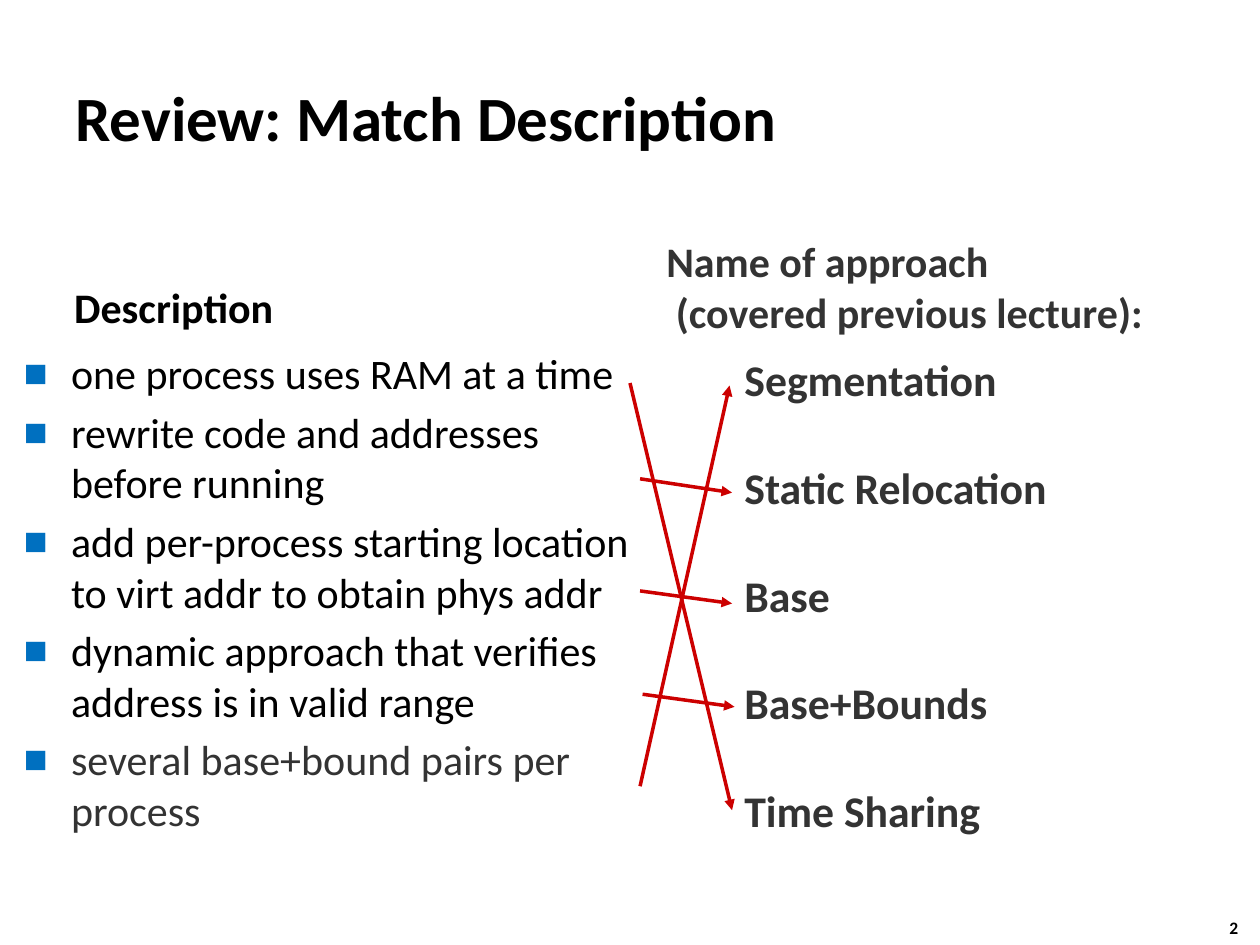
from dataclasses import dataclass

from pptx import Presentation
from pptx import util as u
from pptx.dml.color import RGBColor
from pptx.enum import shapes, text
from pptx.oxml import parse_xml
from pptx.oxml.ns import nsdecls

# The slide is a grid of 100 columns by 75 rows of equal size
COLUMNS, ROWS = 100, 75
WIDTH, HEIGHT = u.Inches(10), u.Inches(7.5)


@dataclass(frozen=True)
class Theme:
    font: str = "Calibri"
    ink: str = "000000"
    soft: str = "333333"
    bullet: str = "0070C0"
    arrow: str = "CC0000"
    title: float = 36
    name: float = 25
    body: float = 24
    number: float = 10
    name_gap: float = 31.6
    body_gap: float = 4.8
    arrow_width: float = 2


THEME = Theme()

DESCRIPTIONS = [
    "one process uses RAM at a time",
    "rewrite code and addresses before running",
    "add per-process starting location to virt addr to obtain phys addr",
    "dynamic approach that verifies address is in valid range",
    "several base+bound pairs per process",
]
NAMES = ["Segmentation", "Static Relocation", "Base", "Base+Bounds", "Time Sharing"]

# Start and end of each match, in columns and rows from the corner of its box
MATCHES = [
    ((0, 0.4), (8.1, 34.3)),
    ((0.8, 8), (8.1, 9.1)),
    ((0.8, 16.9), (8.1, 17.9)),
    ((1, 25.1), (8.3, 26.1)),
    ((0.8, 32.4), (7.9, 0.6)),
]


def across(columns):
    return round(WIDTH * columns / COLUMNS)


def down(rows):
    return round(HEIGHT * rows / ROWS)


def add_text(page, box, lines, size, color=THEME.ink, bold=True, gap=0,
             anchor=text.MSO_ANCHOR.TOP, wrap=True):
    """Place a text box, one paragraph a line, and return its paragraphs."""
    left, top, width, height = box
    frame = page.shapes.add_textbox(
        across(left), down(top), across(width), down(height)).text_frame
    frame.word_wrap = wrap
    frame.vertical_anchor = anchor
    frame.text = "\n".join(lines)
    for para in frame.paragraphs:
        para.space_before = u.Pt(gap)
        for span in para.runs:
            span.font.name = THEME.font
            span.font.size = u.Pt(size)
            span.font.bold = bold
            span.font.color.rgb = RGBColor.from_string(color)
    return frame.paragraphs


def add_heading(page, box, heading, color):
    """Place a column heading on the bottom edge of its box."""
    para, = add_text(page, box, [""], THEME.body, anchor=text.MSO_ANCHOR.BOTTOM)
    para.text = heading
    for span in para.runs:
        span.font.name = THEME.font
        span.font.size = u.Pt(THEME.body)
        span.font.bold = True
        span.font.color.rgb = RGBColor.from_string(color)


def add_descriptions(page, box):
    """Place the bulleted descriptions, the last one in the softer colour."""
    paras = add_text(page, box, DESCRIPTIONS, THEME.body, bold=False,
                     gap=THEME.body_gap)
    for para in paras:
        props = para._p.get_or_add_pPr()
        indent = across(3.75)
        props.set("marL", str(indent))
        props.set("indent", str(-indent))
        for mark in (
            f'<a:buClr {nsdecls("a")}><a:srgbClr val="{THEME.bullet}"/></a:buClr>',
            f'<a:buSzPct {nsdecls("a")} val="60000"/>',
            f'<a:buFont {nsdecls("a")} typeface="{THEME.font}"/>',
            f'<a:buChar {nsdecls("a")} char="■"/>',
        ):
            props.append(parse_xml(mark))
    paras[-1].runs[0].font.color.rgb = RGBColor.from_string(THEME.soft)


def add_matches(page, box):
    """Place the group of arrows from descriptions to names."""
    left, top = box
    group = page.shapes.add_group_shape()
    for (x1, y1), (x2, y2) in MATCHES:
        arrow = group.shapes.add_connector(
            shapes.MSO_CONNECTOR.STRAIGHT,
            across(left + x1), down(top + y1), across(left + x2), down(top + y2))
        arrow.line.color.rgb = RGBColor.from_string(THEME.arrow)
        arrow.line.width = u.Pt(THEME.arrow_width)
        arrow.line._get_or_add_ln().append(
            parse_xml(f'<a:tailEnd {nsdecls("a")} type="triangle"/>'))
        arrow._element.spPr.append(parse_xml(f'<a:effectLst {nsdecls("a")}/>'))


def add_match_slide(deck):
    page = deck.slides.add_slide(deck.slide_layouts[6])

    # Page number and title
    add_text(page, (96.6, 72.3, 3.7, 2.7), ["2"], THEME.number, wrap=False)
    add_text(page, (5, 3, 90, 12.5), ["Review: Match Description"], THEME.title,
             anchor=text.MSO_ANCHOR.MIDDLE)

    # Names of the approaches
    add_heading(page, (51.9, 18, 50, 9.2),
                "Name of approach\v (covered previous lecture):", THEME.soft)
    add_text(page, (58.1, 27.5, 39, 40.8), NAMES, THEME.name, THEME.soft,
             gap=THEME.name_gap)

    # Descriptions
    add_heading(page, (4.9, 17.6, 39, 9.2), "Description", THEME.ink)
    add_descriptions(page, (0.9, 27.1, 52.2, 40.8))

    # Matches between the two
    add_matches(page, (50, 30))


def main():
    deck = Presentation()
    deck.slide_width, deck.slide_height = WIDTH, HEIGHT
    add_match_slide(deck)
    deck.save("out.pptx")


if __name__ == "__main__":
    main()
